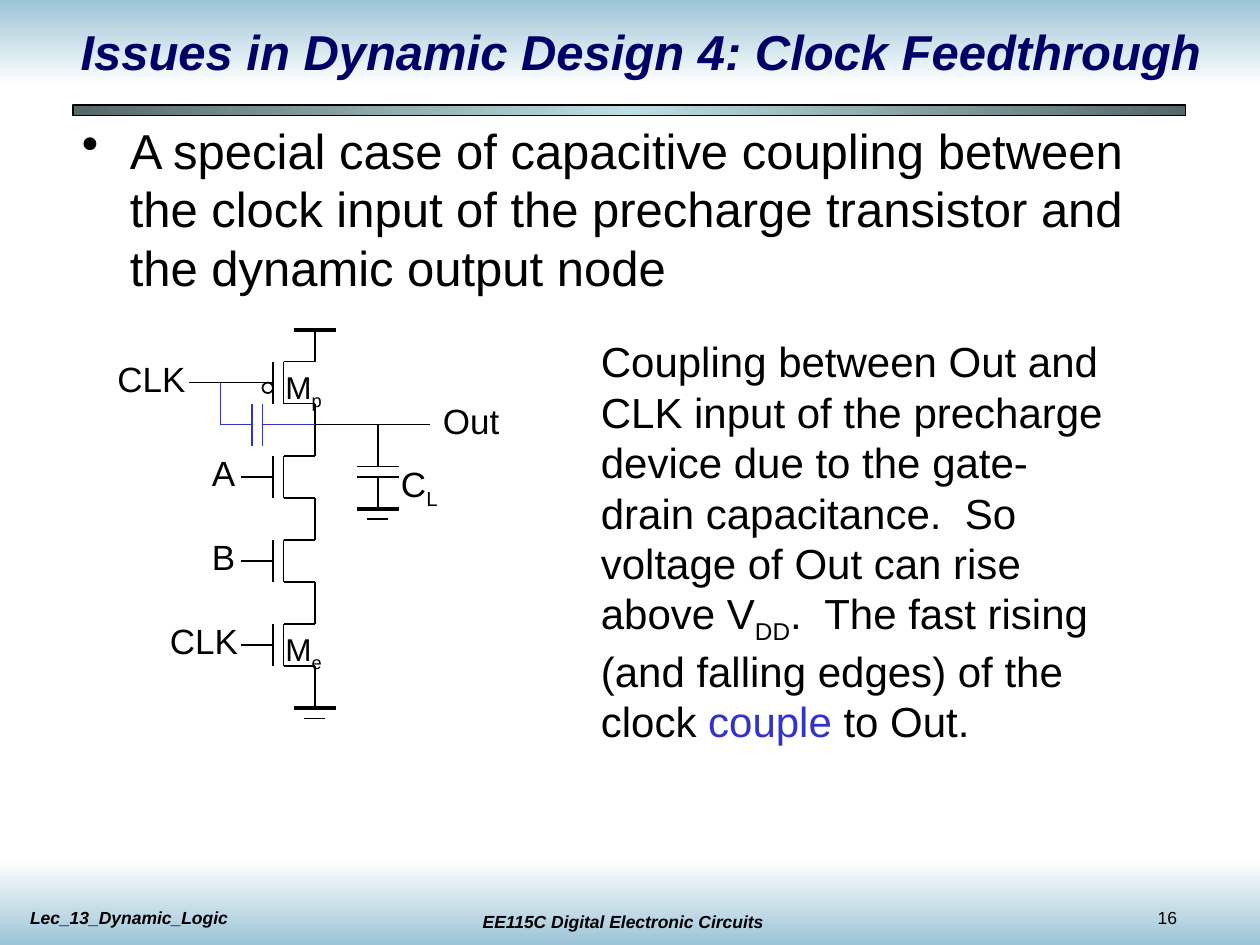
from copy import deepcopy
from typing import NamedTuple, Sequence

from lxml.etree import SubElement
from pptx import Presentation
from pptx.dml.color import RGBColor
from pptx.enum.shapes import MSO_CONNECTOR as Connector, MSO_SHAPE as Preset
from pptx.enum.text import MSO_ANCHOR as Anchor, MSO_AUTO_SIZE as AutoSize, PP_ALIGN as Align
from pptx.oxml.ns import qn
from pptx.util import Inches, Pt

WIDTH, HEIGHT = 10, 7.5
CELL = 1 / 12
TOP_RAIL = 2.62
OUTPUT_COLUMN = 30
BLACK, NAVY, BLUE = "000000", "000066", "3333CC"
SKY, WHITE, SLATE, AQUA = "9DC4D7", "FFFFFF", "566768", "BBE0E3"


class Box(NamedTuple):
    """A frame in shares of the slide's width and height."""
    left: float
    top: float
    width: float
    height: float


class Span(NamedTuple):
    """A stretch of text with its own colour or position."""
    text: str
    color: str = BLACK
    subscript: bool = False


class Wire(NamedTuple):
    """A line between two points of the circuit grid."""
    column: float
    row: float
    end_column: float
    end_row: float
    weight: float = 1


class Label(NamedTuple):
    """A circuit label whose frame starts at a grid point."""
    spans: Sequence[Span]
    column: float
    row: float
    width: float
    size: int = 20


def color_of(code: str) -> RGBColor:
    """Turn a hex string into a colour."""
    return RGBColor.from_string(code)


def frame(box: Box) -> tuple:
    """Turn shares of the slide into lengths."""
    return (Inches(box.left * WIDTH), Inches(box.top * HEIGHT),
            Inches(box.width * WIDTH), Inches(box.height * HEIGHT))


def grid_point(column: float, row: float) -> tuple:
    """Turn a circuit grid position into lengths."""
    return Inches(column * CELL), Inches(TOP_RAIL + row * CELL)


def add_text(page, spans: Sequence[Span], box: Box, *, size: float = 20, bold: bool = False,
             italic: bool = False, align=Align.LEFT, anchor=Anchor.TOP, wrap: bool = True,
             fit: bool = True, before: float = 0, bullet: str = "",
             margins: tuple = (0.1, 0.05)) -> None:
    """Write one paragraph of formatted spans in a box."""
    text_frame = page.shapes.add_textbox(*frame(box)).text_frame
    text_frame.word_wrap = wrap
    text_frame.auto_size = AutoSize.SHAPE_TO_FIT_TEXT if fit else AutoSize.NONE
    text_frame.vertical_anchor = anchor
    text_frame.margin_left = text_frame.margin_right = Inches(margins[0])
    text_frame.margin_top = text_frame.margin_bottom = Inches(margins[1])
    para = text_frame.paragraphs[0]
    para.alignment = align
    para.space_before = Pt(before)
    if bullet:
        properties = para._p.get_or_add_pPr()
        properties.set("marL", str(Inches(0.38)))
        properties.set("indent", str(-Inches(0.38)))
        SubElement(properties, qn("a:buChar")).set("char", bullet)
    for span in spans:
        run = para.add_run()
        run.text = span.text
        font = run.font
        font.name, font.size = "Arial", Pt(size)
        font.bold, font.italic = bold, italic
        font.color.rgb = color_of(span.color)
        if span.subscript:
            run._r.get_or_add_rPr().set("baseline", "-25000")


def add_band(page, box: Box, colors: Sequence[str], angle: float, outline: str = "") -> None:
    """Draw a rectangle with an even gradient."""
    band = page.shapes.add_shape(Preset.RECTANGLE, *frame(box))
    band.shadow.inherit = False
    band.fill.gradient()
    band.fill.gradient_angle = angle
    stop_list = next(band.element.iter(qn("a:gsLst")))
    while len(stop_list) < len(colors):
        stop_list.append(deepcopy(stop_list[0]))
    for index, (stop, code) in enumerate(zip(band.fill.gradient_stops, colors)):
        stop.position = index / (len(colors) - 1)
        stop.color.rgb = color_of(code)
    if outline:
        band.line.color.rgb = color_of(outline)
        band.line.width = Pt(0.75)
    else:
        band.line.fill.background()


def add_wires(shapes, wires: Sequence[Wire], color: str = BLACK) -> None:
    """Draw straight circuit lines."""
    for wire in wires:
        line = shapes.add_connector(Connector.STRAIGHT, *grid_point(wire.column, wire.row),
                                    *grid_point(wire.end_column, wire.end_row))
        line.line.color.rgb = color_of(color)
        line.line.width = Pt(wire.weight)
        SubElement(line.element.spPr, qn("a:effectLst"))


def add_part(page, wires: Sequence[Wire], color: str = BLACK):
    """Draw the wires of one component as a group."""
    part = page.shapes.add_group_shape()
    add_wires(part.shapes, wires, color)
    return part


def transistor(row: float) -> list[Wire]:
    """List the wires of a transistor whose channel starts at a row."""
    gate, channel, drain = 26, 27, OUTPUT_COLUMN
    return [Wire(channel, row, drain, row), Wire(channel, row, channel, row + 4),
            Wire(channel, row + 4, drain, row + 4), Wire(gate, row, gate, row + 4),
            Wire(drain, row + 4, drain, row + 7), Wire(gate - 3, row + 2, gate, row + 2),
            Wire(drain, row - 3, drain, row)]


def ground(column: float, row: float) -> list[Wire]:
    """List the wires of a ground symbol and its lead."""
    return [Wire(column - 2, row, column + 2, row, 2.25),
            Wire(column - 1, row + 1, column + 1, row + 1),
            Wire(column, row - 3, column, row)]


def add_circuit(page) -> None:
    """Draw the dynamic gate with its coupling capacitor."""
    precharge, *pull_down = [add_part(page, transistor(row)) for row in (3, 12, 20, 28)]
    bubble = precharge.shapes.add_shape(Preset.OVAL, *grid_point(25, 5), Inches(CELL), Inches(CELL))
    bubble.shadow.inherit = False
    bubble.fill.background()
    bubble.line.color.rgb = color_of(BLACK)
    bubble.line.width = Pt(1)
    load = [Wire(36, 9, 36, 13), Wire(34, 13, 38, 13), Wire(34, 14, 38, 14)]
    add_part(page, load + ground(36, 17))
    add_part(page, ground(OUTPUT_COLUMN, 36))
    add_wires(page.shapes, [Wire(28, 0, 32, 0, 2.25), Wire(OUTPUT_COLUMN, 9, 41, 9)])
    add_part(page, [Wire(21, 5, 21, 9), Wire(21, 9, 24, 9), Wire(24, 7, 24, 11),
                    Wire(25, 7, 25, 11), Wire(25, 9, OUTPUT_COLUMN, 9)], BLUE)
    add_wires(page.shapes, [Wire(18, 5, 23, 5)])
    labels = [Label([Span("CLK")], 10, 2, 0.74), Label([Span("A")], 19, 11, 0.38),
              Label([Span("B")], 19, 19, 0.38), Label([Span("CLK")], 15, 27, 0.74),
              Label([Span("Out")], 41, 6, 0.65),
              Label([Span("C"), Span("L", subscript=True)], 37, 12, 0.49),
              Label([Span("M"), Span("p", subscript=True)], 26, 3, 0.49, 18),
              Label([Span("M"), Span("e", subscript=True)], 26, 28, 0.49, 18)]
    for label in labels:
        box = Box(label.column * CELL / WIDTH, (TOP_RAIL + label.row * CELL) / HEIGHT,
                  label.width / WIDTH, 0.44 / HEIGHT)
        add_text(page, label.spans, box, size=label.size, wrap=False)


def main() -> None:
    """Build the slide and save it."""
    deck = Presentation()
    deck.slide_width, deck.slide_height = Inches(WIDTH), Inches(HEIGHT)
    page = deck.slides.add_slide(deck.slide_layouts[6])
    add_band(page, Box(0, 0, 1, 0.09), [SKY, WHITE], 270)
    add_band(page, Box(0, 0.91, 1, 0.09), [WHITE, SKY], 270)
    add_band(page, Box(0.058, 0.111, 0.883, 0.011), [SLATE, AQUA, SLATE], 0, BLACK)
    footer = dict(size=10, bold=True, italic=True, before=6.2)
    add_text(page, [Span("EE115C Digital Electronic Circuits")],
             Box(0.353, 0.957, 0.283, 0.036), align=Align.CENTER, **footer)
    add_text(page, [Span("Lec_13_Dynamic_Logic")], Box(0.014, 0.953, 0.283, 0.036), **footer)
    add_text(page, [Span("16")], Box(0.909, 0.953, 0.083, 0.036), size=10, wrap=False)
    add_text(page, [Span("Issues in Dynamic Design 4: Clock Feedthrough", NAVY)],
             Box(0.025, 0.023, 0.967, 0.061), size=28, bold=True, italic=True,
             align=Align.CENTER, anchor=Anchor.MIDDLE, fit=False)
    add_circuit(page)
    add_text(page, [Span("Coupling between Out and CLK input of the precharge device due to the "
                         "gate- drain capacitance.  So voltage of Out can rise above V"),
                    Span("DD", subscript=True),
                    Span(".  The fast rising (and falling edges) of the clock "),
                    Span("couple", BLUE), Span(" to Out.")],
             Box(0.467, 0.349, 0.442, 0.448), size=24)
    add_text(page, [Span("A special case of capacitive coupling between the clock input of the "
                         "precharge transistor and the dynamic output node")],
             Box(0.058, 0.123, 0.892, 0.195), size=28, before=10.5, bullet="•",
             margins=(0.07, 0.03))
    deck.save("out.pptx")


if __name__ == "__main__":
    main()
